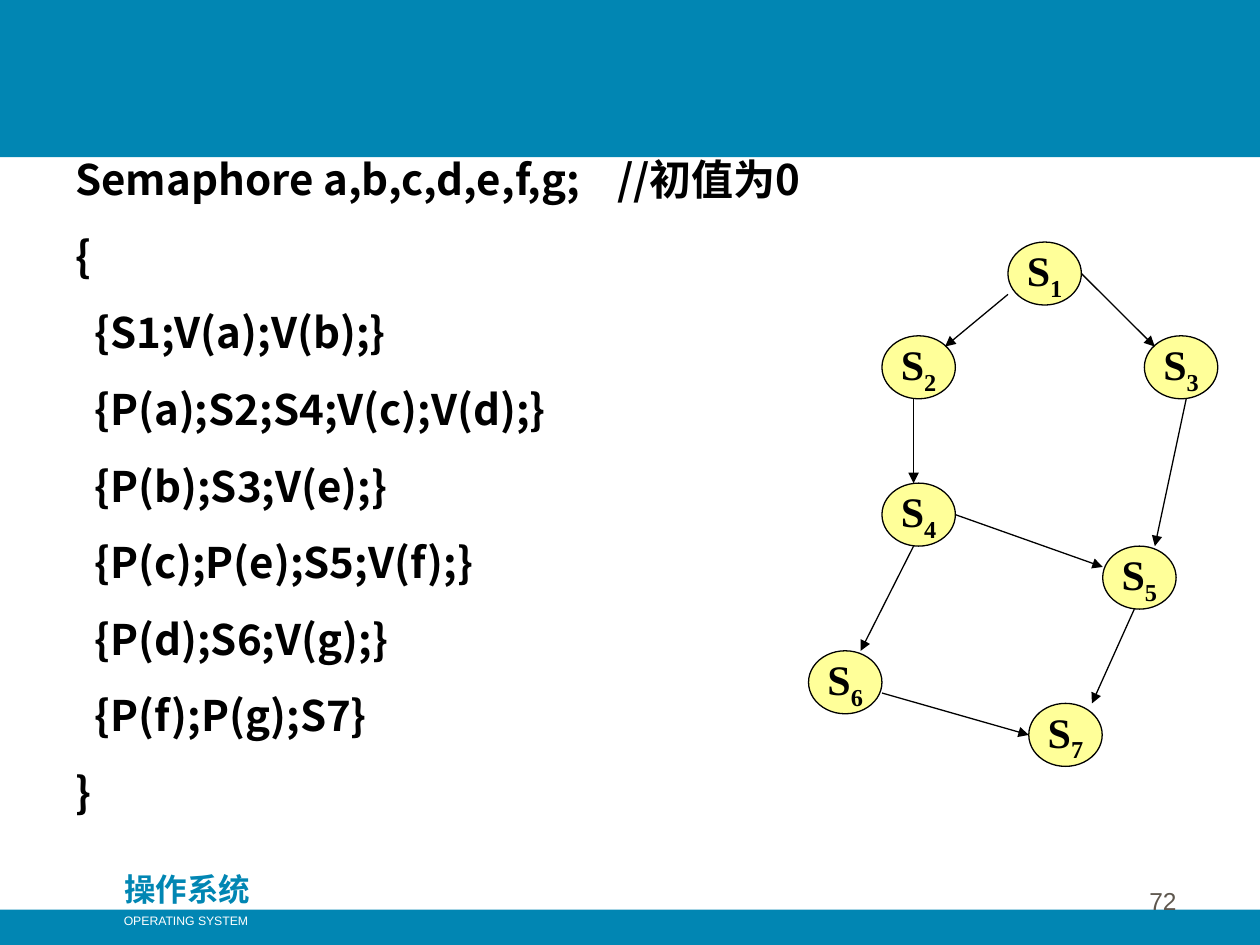
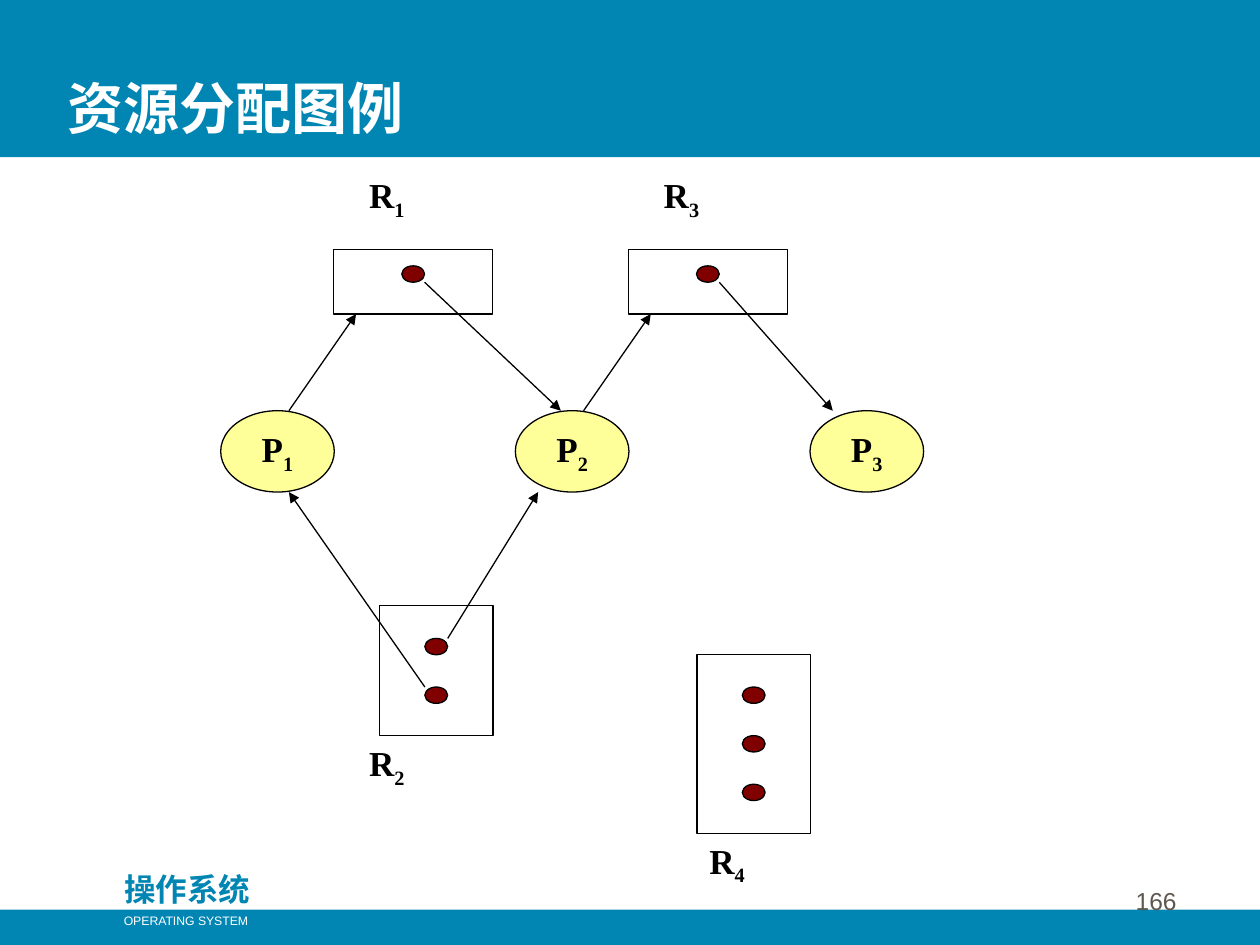
"""Build two operating-system slides: a precedence graph and a resource allocation graph."""
from dataclasses import dataclass
from typing import Optional

import lxml.etree
import pptx
import pptx.dml.color
import pptx.enum.shapes
import pptx.enum.text
import pptx.oxml.ns
import pptx.slide
import pptx.util

Cm = pptx.util.Cm
Pt = pptx.util.Pt
Align = pptx.enum.text.PP_ALIGN
Anchor = pptx.enum.text.MSO_ANCHOR
Preset = pptx.enum.shapes.MSO_SHAPE
qn = pptx.oxml.ns.qn

COLORS = {
    "band": "0186B3",
    "white": "FFFFFF",
    "ink": "000000",
    "node": "FFFF99",
    "unit": "800000",
    "page": "5E574E",
}
SANS, SERIF, PLAIN = "Noto Sans CJK SC", "Times New Roman", "Arial"
SLIDE_WIDTH, SLIDE_HEIGHT = 25.4, 19.05


@dataclass(frozen=True)
class Style:
    size: float
    font: str
    color: str
    bold: bool = False


@dataclass(frozen=True)
class Box:
    left: float
    top: float
    width: float
    height: float

    def at(self, across: float, down: float) -> tuple[float, float]:
        return self.left + across * self.width, self.top + down * self.height


@dataclass(frozen=True)
class Node:
    box: Box
    kind: Preset = Preset.OVAL
    fill: Optional[str] = "node"
    letter: str = ""
    index: str = ""
    size: float = 20


@dataclass(frozen=True)
class Arrow:
    source: str
    leave: tuple[float, float]
    target: str
    enter: tuple[float, float]


TITLE = Style(32, SANS, "white", True)
COURSE = Style(18, SANS, "band", True)
COURSE_ENGLISH = Style(7, PLAIN, "white")
PAGE = Style(14, PLAIN, "page")
CODE = Style(24, SANS, "ink", True)

CODE_LINES = [
    "Semaphore a,b,c,d,e,f,g;\t//初值为0",
    "{",
    "  {S1;V(a);V(b);}",
    "  {P(a);S2;S4;V(c);V(d);}",
    "  {P(b);S3;V(e);}",
    "  {P(c);P(e);S5;V(f);}",
    "  {P(d);S6;V(g);}",
    "  {P(f);P(g);S7}",
    "}",
]
COMMENT_TAB = 10.92

STATEMENT_CORNERS = [
    (20.32, 4.88), (17.78, 6.77), (23.07, 6.77), (17.78, 9.74),
    (22.23, 11.01), (16.3, 13.12), (20.74, 14.18),
]
STATEMENT_ARROWS = [
    Arrow("S1", (0, 0.83), "S2", (0.86, 0.17)),
    Arrow("S2", (0.43, 1), "S4", (0.43, 0)),
    Arrow("S4", (0.43, 1), "S6", (0.71, 0)),
    Arrow("S6", (1, 0.67), "S7", (0, 0.5)),
    Arrow("S5", (0.43, 1), "S7", (0.86, 0)),
    Arrow("S4", (1, 0.5), "S5", (0, 0.33)),
    Arrow("S3", (0.57, 1), "S5", (0.71, 0)),
    Arrow("S1", (1, 0.5), "S3", (0.14, 0.17)),
]

COLUMN_STEP = 5.94
UNIT_WIDTH, UNIT_HEIGHT = 0.46, 0.33
RESOURCES = {
    "R1": Box(6.73, 5.03, 3.2, 1.3),
    "R3": Box(6.73 + COLUMN_STEP, 5.03, 3.2, 1.3),
    "R4": Box(14.05, 13.2, 2.29, 3.6),
    "R2": Box(7.65, 12.21, 2.29, 2.62),
}
UNIT_TOPS = {
    "R1": [5.36],
    "R2": [12.87, 13.85],
    "R3": [5.36],
    "R4": [13.85, 14.83, 15.81],
}
RESOURCE_LABELS = {
    "R1": (7.19, 3.38),
    "R2": (7.19, 14.83),
    "R3": (7.19 + COLUMN_STEP, 3.38),
    "R4": (14.05, 16.79),
}
ALLOCATION_ARROWS = [
    Arrow("P1", (0.6, 0), "R1", (0.14, 1)),
    Arrow("R1.1", (1, 1), "P2", (0.4, 0)),
    Arrow("P2", (0.6, 0), "R3", (0.14, 1)),
    Arrow("R3.1", (1, 1), "P3", (0.2, 0)),
    Arrow("R2.1", (1, 0), "P2", (0.2, 1)),
    Arrow("R2.2", (0, 0), "P1", (0.6, 1)),
]


def rgb(name: str) -> pptx.dml.color.RGBColor:
    return pptx.dml.color.RGBColor.from_string(COLORS[name])


def emu(box: Box) -> list[int]:
    return [Cm(side) for side in (box.left, box.top, box.width, box.height)]


def add_run(paragraph, text: str, style: Style, subscript: bool = False) -> None:
    run = paragraph.add_run()
    run.text = text
    run.font.size = Pt(style.size)
    run.font.bold = style.bold
    run.font.name = style.font
    run.font.color.rgb = rgb(style.color)
    properties = run._r.get_or_add_rPr()
    lxml.etree.SubElement(properties, qn("a:ea"), typeface=style.font)
    if subscript:
        properties.set("baseline", "-25000")


def add_indexed(paragraph, letter: str, index: str, size: float) -> None:
    style = Style(size, SERIF, "ink", True)
    add_run(paragraph, letter, style)
    add_run(paragraph, index, style, subscript=True)


def add_frame(slide: pptx.slide.Slide, box: Box, align: Align = Align.LEFT,
              anchor: Anchor = Anchor.TOP, wrap: bool = True):
    frame = slide.shapes.add_textbox(*emu(box)).text_frame
    frame.word_wrap = wrap
    frame.vertical_anchor = anchor
    frame.paragraphs[0].alignment = align
    return frame


def add_node(slide: pptx.slide.Slide, node: Node, outlined: bool = True) -> None:
    shape = slide.shapes.add_shape(node.kind, *emu(node.box))
    shape.shadow.inherit = False
    if node.fill:
        shape.fill.solid()
        shape.fill.fore_color.rgb = rgb(node.fill)
    else:
        shape.fill.background()
    if outlined:
        shape.line.color.rgb = rgb("ink")
        shape.line.width = Pt(0.75)
    else:
        shape.line.fill.background()
    if node.letter:
        frame = shape.text_frame
        frame.word_wrap = False
        frame.vertical_anchor = Anchor.MIDDLE
        frame.paragraphs[0].alignment = Align.CENTER
        add_indexed(frame.paragraphs[0], node.letter, node.index, node.size)


def add_arrow(slide: pptx.slide.Slide, arrow: Arrow, boxes: dict[str, Box]) -> None:
    ends = boxes[arrow.source].at(*arrow.leave) + boxes[arrow.target].at(*arrow.enter)
    connector = slide.shapes.add_connector(
        pptx.enum.shapes.MSO_CONNECTOR.STRAIGHT, *[Cm(end) for end in ends])
    connector.line.color.rgb = rgb("ink")
    connector.line.width = Pt(0.75)
    lxml.etree.SubElement(connector.line._get_or_add_ln(), qn("a:tailEnd"), type="triangle")
    lxml.etree.SubElement(connector._element.spPr, qn("a:effectLst"))


def add_graph(slide: pptx.slide.Slide, nodes: dict[str, Node], arrows: list[Arrow]) -> None:
    for node in nodes.values():
        add_node(slide, node)
    boxes = {name: node.box for name, node in nodes.items()}
    for arrow in arrows:
        add_arrow(slide, arrow, boxes)


def start_slide(deck, page: int, title: str = "") -> pptx.slide.Slide:
    slide = deck.slides.add_slide(deck.slide_layouts[6])
    for top, height in ((0, 3.17), (18.34, 0.71)):
        band = Node(Box(0, top, SLIDE_WIDTH, height), Preset.RECTANGLE, "band")
        add_node(slide, band, outlined=False)
    course = add_frame(slide, Box(2.11, 17.42, 3.33, 1.02), Align.CENTER)
    course.paragraphs[0].line_spacing = Pt(21.6)
    add_run(course.paragraphs[0], "操作系统", COURSE)
    english = add_frame(slide, Box(2.24, 18.29, 3.02, 0.56), Align.CENTER, wrap=False)
    add_run(english.paragraphs[0], "OPERATING SYSTEM", COURSE_ENGLISH)
    if title:
        heading = add_frame(slide, Box(1.12, 0.43, 22.78, 2.54), anchor=Anchor.BOTTOM)
        heading.paragraphs[0].line_spacing = Pt(38.4)
        add_run(heading.paragraphs[0], title, TITLE)
    number = add_frame(slide, Box(18.69, 17.3, 5.28, 1.27), Align.RIGHT, Anchor.BOTTOM)
    add_run(number.paragraphs[0], str(page), PAGE)
    return slide


def build_semaphores(deck) -> None:
    slide = start_slide(deck, 72)
    listing = add_frame(slide, Box(1.27, 2.97, 16.71, 13.64))
    for row, code in enumerate(CODE_LINES):
        paragraph = listing.add_paragraph() if row else listing.paragraphs[0]
        paragraph.line_spacing = Pt(28.8)
        if row:
            paragraph.space_before = Pt(15)
        if "\t" in code:
            stops = lxml.etree.SubElement(paragraph._p.get_or_add_pPr(), qn("a:tabLst"))
            lxml.etree.SubElement(stops, qn("a:tab"), pos=str(Cm(COMMENT_TAB)), algn="l")
        add_run(paragraph, code, CODE)
    statements = {
        f"S{index}": Node(Box(left, top, 1.48, 1.27), letter="S", index=str(index), size=24)
        for index, (left, top) in enumerate(STATEMENT_CORNERS, 1)
    }
    add_graph(slide, statements, STATEMENT_ARROWS)


def build_allocation(deck) -> None:
    slide = start_slide(deck, 166, "资源分配图例")
    nodes = {name: Node(box, Preset.RECTANGLE, None) for name, box in RESOURCES.items()}
    for column in range(3):
        process = Box(4.45 + column * COLUMN_STEP, 8.28, 2.29, 1.64)
        nodes[f"P{column + 1}"] = Node(process, letter="P", index=str(column + 1))
    for name, tops in UNIT_TOPS.items():
        left = RESOURCES[name].at(0.5, 0)[0] - UNIT_WIDTH / 2
        for order, top in enumerate(tops, 1):
            nodes[f"{name}.{order}"] = Node(Box(left, top, UNIT_WIDTH, UNIT_HEIGHT), fill="unit")
    add_graph(slide, nodes, ALLOCATION_ARROWS)
    for name, (left, top) in RESOURCE_LABELS.items():
        label = add_frame(slide, Box(left, top, 2.74, 1.22))
        add_indexed(label.paragraphs[0], name[0], name[1], 20)


def main() -> None:
    deck = pptx.Presentation()
    deck.slide_width, deck.slide_height = Cm(SLIDE_WIDTH), Cm(SLIDE_HEIGHT)
    build_semaphores(deck)
    build_allocation(deck)
    deck.save("out.pptx")


if __name__ == "__main__":
    main()
